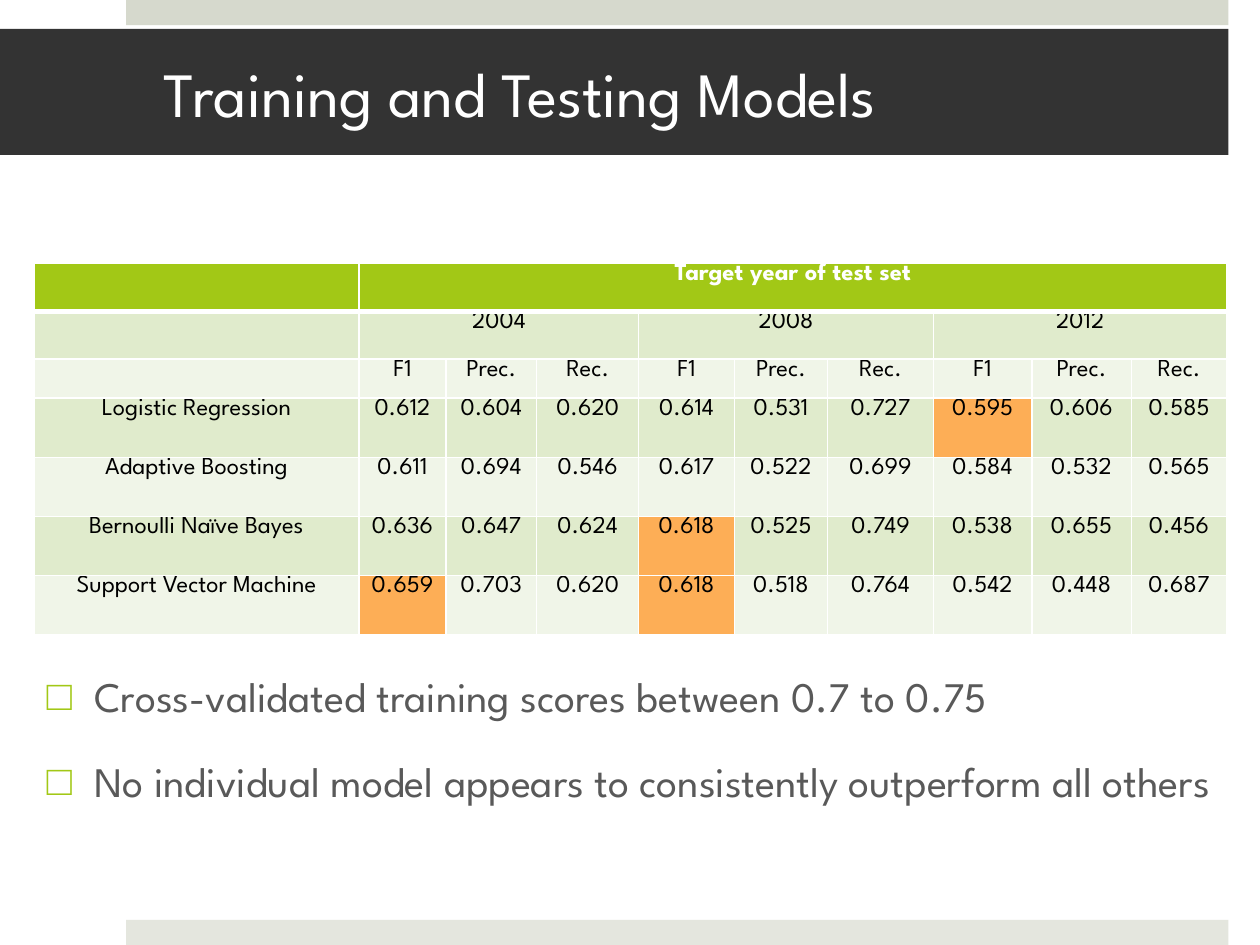
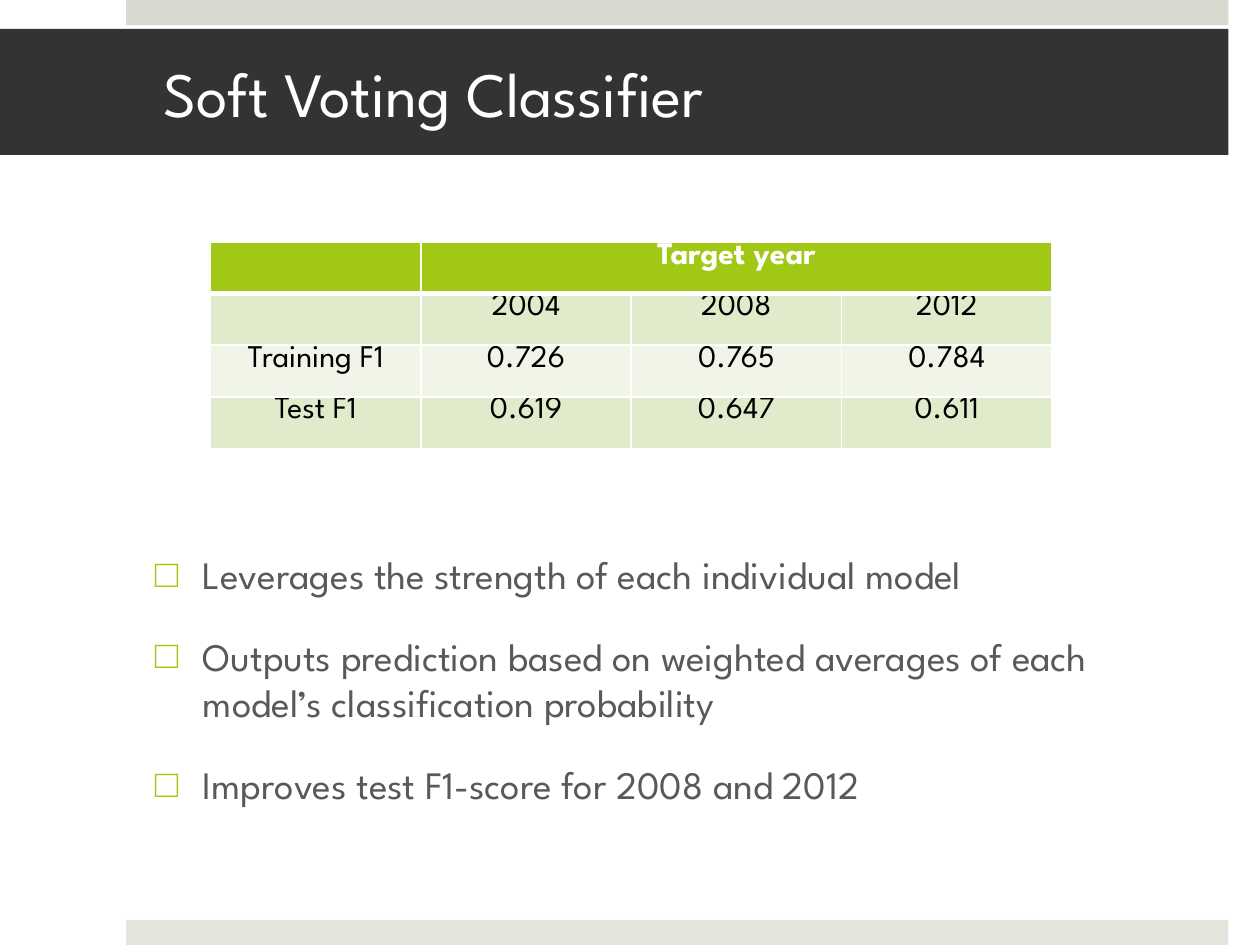
from pptx import Presentation
from pptx.dml.color import RGBColor as RGB
from pptx.enum.shapes import MSO_SHAPE as Shape
from pptx.enum.text import MSO_ANCHOR as Anchor, MSO_AUTO_SIZE as Fit, PP_ALIGN as Align
from pptx.oxml.ns import qn
from pptx.util import Inches, Pt
from lxml.etree import SubElement as Sub

# Shared look
FONT = "League Spartan"
HUES = {
    "white": "FFFFFF", "black": "000000", "title": "333333", "text": "595959",
    "top": "D6D9CD", "foot": "E4E6DE", "green": "A2C816",
    "dark": "E0EBCC", "pale": "F0F5E8", "best": "FDAE56",
}
WIDE, HIGH = 10, 7.5
EDGE = 9.75  # right end of the bands and title
BANDS = [("top", 0), ("foot", HIGH - 0.2)]

# Content: each table row lists (text, columns spanned) or plain text
SLIDES = [
    {
        "title": "Training and Testing Models",
        "table": {
            "at": (0.27, 2.09), "size": 14,
            "cols": [2.58, 0.69, 0.72, 0.81, 0.76, 0.74, 0.84, 0.78, 0.79, 0.76],
            "rows": [0.38] * 2 + [0.31] + [0.47] * 4,
            "cells": [
                ["", ("Target year of test set", 9)],
                ["", ("2004", 3), ("2008", 3), ("2012", 3)],
                [""] + ["F1", "Prec.", "Rec."] * 3,
                ["Logistic Regression", "0.612", "0.604", "0.620", "0.614",
                 "0.531", "0.727", "0.595", "0.606", "0.585"],
                ["Adaptive Boosting", "0.611", "0.694", "0.546", "0.617",
                 "0.522", "0.699", "0.584", "0.532", "0.565"],
                ["Bernoulli Naïve Bayes", "0.636", "0.647", "0.624", "0.618",
                 "0.525", "0.749", "0.538", "0.655", "0.456"],
                ["Support Vector Machine", "0.659", "0.703", "0.620", "0.618",
                 "0.518", "0.764", "0.542", "0.448", "0.687"],
            ],
            "best": {(3, 7), (5, 4), (6, 1), (6, 4)},
        },
        "list": {
            "at": (0.27, 5.27, 9.48, 1.9), "size": 24,
            "items": ["Cross-validated training scores between 0.7 to 0.75",
                      "No individual model appears to consistently outperform all others"],
        },
    },
    {
        "title": "Soft Voting Classifier",
        "table": {
            "at": (1.67, 1.92), "size": 18,
            "cols": [1.67] * 4,
            "rows": [0.41] * 4,
            "cells": [
                ["", ("Target year", 3)],
                ["", "2004", "2008", "2012"],
                ["Training F1", "0.726", "0.765", "0.784"],
                ["Test F1", "0.619", "0.647", "0.611"],
            ],
            "best": set(),
        },
        "list": {
            "at": (1.13, 4.32, 8.04, 2.19), "size": 22.2,
            "items": ["Leverages the strength of each individual model",
                      "Outputs prediction based on weighted averages of each "
                      "model’s classification probability",
                      "Improves test F1-score for 2008 and 2012"],
        },
    },
]


def hue(name):
    return RGB.from_string(HUES[name])


def paint(part, name):
    part.fill.solid()
    part.fill.fore_color.rgb = hue(name)


def place(shape, left, top, width, height):
    shape.left, shape.top = Inches(left), Inches(top)
    shape.width, shape.height = Inches(width), Inches(height)


def write(par, text, size, name, bold=False):
    run = par.add_run()
    run.text = text
    font = run.font
    font.name, font.size, font.bold = FONT, Pt(size), bold
    font.color.rgb = hue(name)


def add_bands(slide):
    for name, top in BANDS:
        band = slide.shapes.add_shape(
            Shape.RECTANGLE, Inches(1), Inches(top), Inches(EDGE - 1), Inches(0.2))
        band.shadow.inherit = False
        paint(band, name)
        band.line.fill.background()


def set_title(shape, text):
    place(shape, 0, 0.23, EDGE, 1)
    paint(shape, "title")
    frame = shape.text_frame
    frame.auto_size, frame.vertical_anchor = Fit.NONE, Anchor.MIDDLE
    frame.margin_left, frame.margin_right = Inches(1.3), Inches(0.3)
    par = frame.paragraphs[0]
    par.alignment = Align.LEFT
    write(par, text, 36, "white")


def set_list(shape, data):
    place(shape, *data["at"])
    frame = shape.text_frame
    frame.auto_size, frame.vertical_anchor = Fit.NONE, Anchor.TOP
    for i, item in enumerate(data["items"]):
        par = frame.add_paragraph() if i else frame.paragraphs[0]
        par.space_before = Pt(20)
        write(par, item, data["size"], "text")
        # Square bullet with a hanging indent
        props = par._p.get_or_add_pPr()
        props.set("marL", str(Inches(0.38)))
        props.set("indent", str(-Inches(0.38)))
        Sub(Sub(props, qn("a:buClr")), qn("a:srgbClr"), val=HUES["green"])
        Sub(props, qn("a:buChar"), char="□")


def add_rules(cell, row):
    """White cell borders, thick under the header row."""
    props = cell._tc.get_or_add_tcPr()
    thick = {"T": 3 if row == 1 else 1, "B": 3 if row == 0 else 1}
    for side in "LRTB":
        line = Sub(props, qn("a:ln" + side), w=str(Pt(thick.get(side, 1))))
        Sub(Sub(line, qn("a:solidFill")), qn("a:srgbClr"), val=HUES["white"])


def add_grid(slide, data):
    cols, rows = data["cols"], data["rows"]
    left, top = data["at"]
    grid = slide.shapes.add_table(
        len(rows), len(cols), Inches(left), Inches(top),
        Inches(sum(cols)), Inches(sum(rows))).table
    for col, width in zip(grid.columns, cols):
        col.width = Inches(width)
    for row, height in zip(grid.rows, rows):
        row.height = Inches(height)

    # Fills and borders
    for r in range(len(rows)):
        base = "green" if r == 0 else "dark" if r % 2 else "pale"
        for c in range(len(cols)):
            cell = grid.cell(r, c)
            cell.margin_top = cell.margin_bottom = 0
            cell.margin_left = cell.margin_right = Inches(0.05)
            add_rules(cell, r)
            paint(cell, "best" if (r, c) in data["best"] else base)

    # Text and spans
    for r, line in enumerate(data["cells"]):
        c = 0
        for entry in line:
            text, span = entry if isinstance(entry, tuple) else (entry, 1)
            cell = grid.cell(r, c)
            if span > 1:
                cell.merge(grid.cell(r, c + span - 1))
            if text:
                par = cell.text_frame.paragraphs[0]
                par.alignment = Align.CENTER
                write(par, text, data["size"], "black" if r else "white", r == 0)
            c += span


def main():
    deck = Presentation()
    deck.slide_width, deck.slide_height = Inches(WIDE), Inches(HIGH)
    for data in SLIDES:
        slide = deck.slides.add_slide(deck.slide_layouts[1])
        add_bands(slide)
        set_title(slide.shapes.title, data["title"])
        set_list(slide.placeholders[1], data["list"])
        add_grid(slide, data["table"])
    deck.save("out.pptx")


if __name__ == "__main__":
    main()
